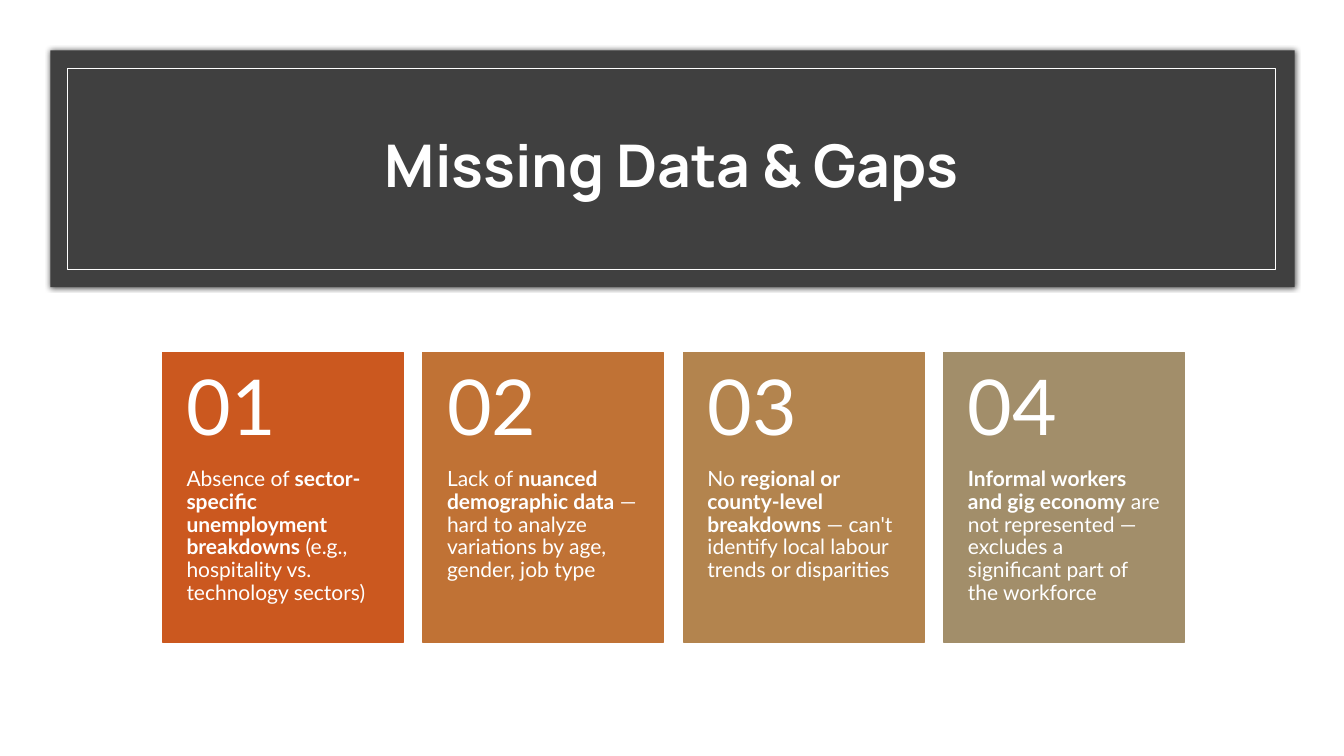
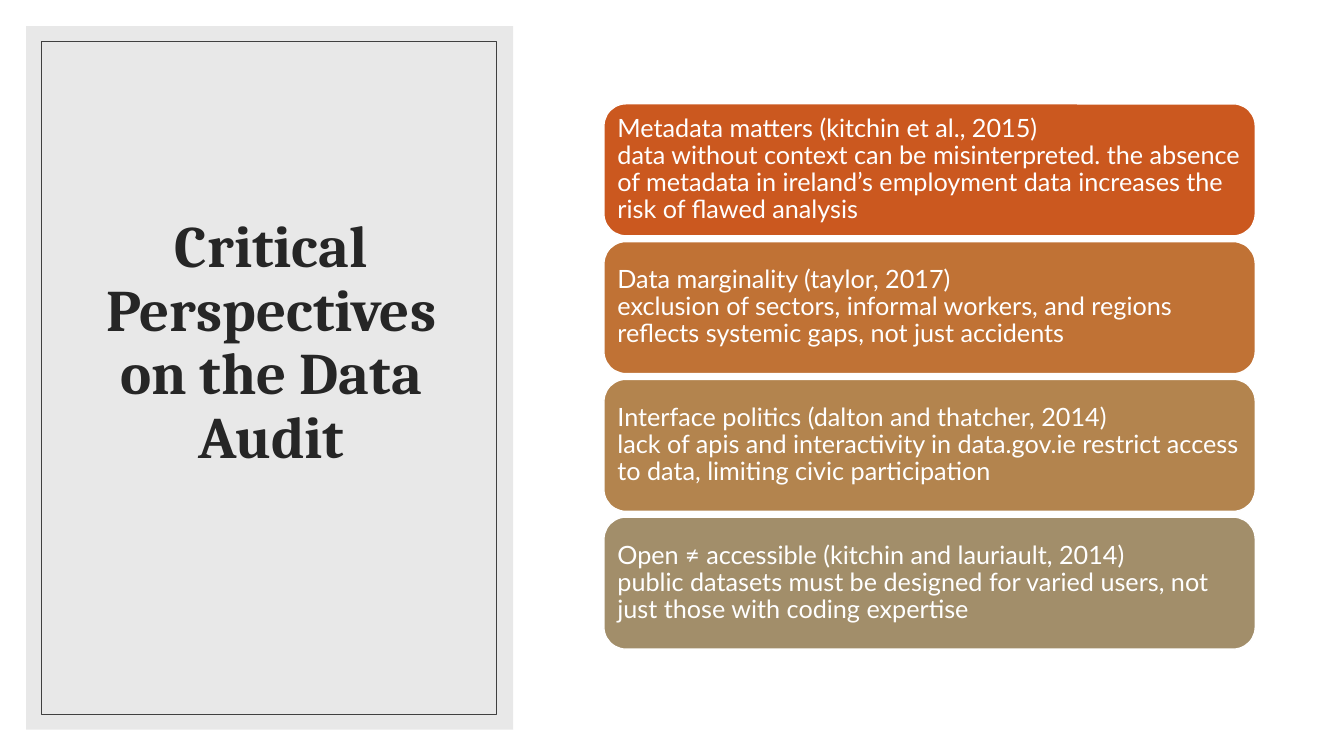
from lxml import etree
from pptx import Presentation
from pptx.dml.color import RGBColor
from pptx.enum.shapes import MSO_SHAPE as Shape
from pptx.enum.text import MSO_ANCHOR as Anchor, MSO_AUTO_SIZE as AutoSize, PP_ALIGN as Align
from pptx.oxml.ns import qn
from pptx.util import Inches, Pt

COLORS = {
    "white": "FFFFFF",
    "charcoal": "404040",
    "ink": "262626",
    "panel": "D9D9D9",
}
ACCENTS = ["CB581F", "C07235", "B3844E", "A28E6A"]
BODY_FONT = "Lato"
TITLE_SIZE = 42
LINE_SPACING = 0.9

# Each card is a list of (text, bold) runs
GAPS = [
    [("Absence of ", False), ("sector-specific unemployment breakdowns", True),
     (" (e.g., hospitality vs. technology sectors)", False)],
    [("Lack of ", False), ("nuanced demographic data", True),
     (" — hard to analyze variations by age, gender, job type", False)],
    [("No ", False), ("regional or county-level breakdowns", True),
     (" — can't identify local labour trends or disparities", False)],
    [("Informal workers and gig economy", True),
     (" are not represented — excludes a significant part of the workforce", False)],
]
PERSPECTIVES = [
    ("Metadata matters (kitchin et al., 2015)",
     "data without context can be misinterpreted. the absence of metadata in "
     "ireland’s employment data increases the risk of flawed analysis"),
    ("Data marginality (taylor, 2017)",
     "exclusion of sectors, informal workers, and regions reflects systemic gaps, "
     "not just accidents"),
    ("Interface politics (dalton and thatcher, 2014)",
     "lack of apis and interactivity in data.gov.ie restrict access to data, "
     "limiting civic participation"),
    ("Open ≠ accessible (kitchin and lauriault, 2014)",
     "public datasets must be designed for varied users, not just those with "
     "coding expertise"),
]


def rgb(color):
    return RGBColor.from_string(COLORS.get(color, color))


def spread(start, end, size, count):
    """Start positions of equal items spaced evenly from start to end."""
    step = (end - start - size) / (count - 1)
    return [start + index * step for index in range(count)]


def add_box(slide, kind, area, fill=None, line=None, width=1):
    box = slide.shapes.add_shape(kind, *map(Inches, area))
    box.shadow.inherit = False
    if fill:
        box.fill.solid()
        box.fill.fore_color.rgb = rgb(fill)
    else:
        box.fill.background()
    if line:
        box.line.color.rgb = rgb(line)
        box.line.width = Pt(width)
    else:
        box.line.fill.background()
    return box


def set_alpha(parent, percent):
    color = next(parent.iter(qn("a:srgbClr")))
    etree.SubElement(color, qn("a:alpha"), val=str(percent * 1000))


def add_glow_shadow(box, blur, percent):
    effects = box.element.spPr.find(qn("a:effectLst"))
    shadow = etree.SubElement(effects, qn("a:outerShdw"), blurRad=str(Pt(blur)),
                              dist="0", dir="0", algn="ctr", rotWithShape="0")
    etree.SubElement(shadow, qn("a:srgbClr"), val="000000")
    set_alpha(shadow, percent)


def set_frame(frame, anchor, insets):
    frame.word_wrap = True
    frame.auto_size = AutoSize.NONE
    frame.vertical_anchor = anchor
    (frame.margin_left, frame.margin_top,
     frame.margin_right, frame.margin_bottom) = map(Inches, insets)


def format_para(para, align=Align.LEFT):
    para.alignment = align
    para.line_spacing = LINE_SPACING
    return para


def add_run(para, text, size, color="white", font=BODY_FONT, bold=False):
    run = para.add_run()
    run.text = text
    run.font.size = Pt(size)
    run.font.name = font
    run.font.bold = bold
    run.font.color.rgb = rgb(color)


def add_text(slide, area, runs, size, anchor, insets):
    box = slide.shapes.add_textbox(*map(Inches, area))
    set_frame(box.text_frame, anchor, insets)
    para = format_para(box.text_frame.paragraphs[0])
    for text, bold in runs:
        add_run(para, text, size, bold=bold)


def place_title(slide, text, area, font, color):
    title = slide.shapes.title
    title.left, title.top, title.width, title.height = map(Inches, area)
    set_frame(title.text_frame, Anchor.MIDDLE, (0.1, 0.05, 0.1, 0.05))
    para = format_para(title.text_frame.paragraphs[0], Align.CENTER)
    add_run(para, text, TITLE_SIZE, color, font, bold=True)
    # Bring the title in front of its panel
    title.element.getparent().append(title.element)


def add_number_card(slide, left, number, runs, color):
    top, width, height, head = 3.5, 2.39, 2.87, 1.15
    add_box(slide, Shape.RECTANGLE, (left, top, width, height), color, color)
    add_text(slide, (left, top + head, width, height - head), runs, 15,
             Anchor.TOP, (0.24, 0, 0.24, 0.36))
    add_text(slide, (left, top, width, head), [(f"{number:02d}", False)], 55,
             Anchor.MIDDLE, (0.24, 0.18, 0.24, 0.18))


def add_bar(slide, top, heading, detail, color):
    bar = add_box(slide, Shape.ROUNDED_RECTANGLE, (5.99, top, 6.46, 1.31), color, "white")
    set_frame(bar.text_frame, Anchor.MIDDLE, (0.07,) * 4)
    para = format_para(bar.text_frame.paragraphs[0])
    add_run(para, heading, 18)
    para.add_line_break()
    add_run(para, detail, 18)


def build_gaps(slide):
    # Title band with inner frame
    band = add_box(slide, Shape.RECTANGLE, (0.5, 0.5, 12.34, 2.35), "charcoal")
    add_glow_shadow(band, 4, 66)
    add_box(slide, Shape.RECTANGLE, (0.67, 0.68, 11.98, 1.99), line="white", width=0.5)
    place_title(slide, "Missing Data & Gaps", (1.16, 0.92, 11, 1.5), "Manrope", "white")
    # Numbered cards
    lefts = spread(1.61, 11.75, 2.39, len(GAPS))
    for number, (left, runs, color) in enumerate(zip(lefts, GAPS, ACCENTS), 1):
        add_number_card(slide, left, number, runs, color)


def build_perspectives(slide):
    # Title panel with inner frame
    panel = add_box(slide, Shape.RECTANGLE, (0.26, 0.26, 4.83, 6.98), "panel")
    set_alpha(panel.element.spPr, 60)
    place_title(slide, "Critical Perspectives on the Data Audit",
                (0.63, 0.61, 4.12, 5.6), "Cambria", "ink")
    add_box(slide, Shape.RECTANGLE, (0.41, 0.41, 4.51, 6.68), line="charcoal", width=0.5)
    # Stacked bars
    tops = spread(1.03, 6.44, 1.31, len(PERSPECTIVES))
    for top, (heading, detail), color in zip(tops, PERSPECTIVES, ACCENTS):
        add_bar(slide, top, heading, detail, color)


def main():
    deck = Presentation()
    deck.slide_width, deck.slide_height = Inches(13.33), Inches(7.5)
    title_only = deck.slide_layouts[5]
    for build in (build_gaps, build_perspectives):
        build(deck.slides.add_slide(title_only))
    deck.save("out.pptx")


if __name__ == "__main__":
    main()
